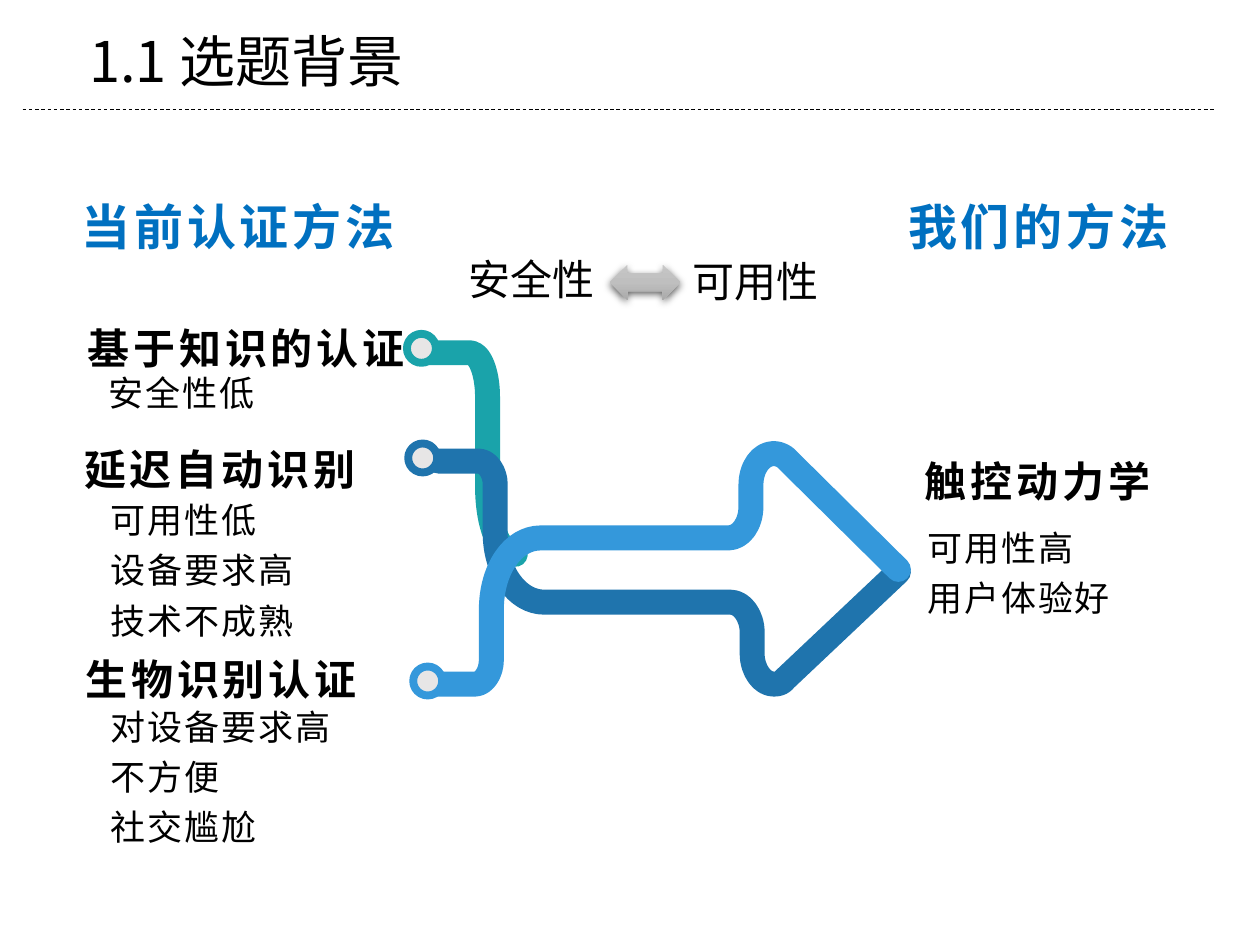
from dataclasses import dataclass

from lxml import etree
from pptx import Presentation
from pptx.dml.color import RGBColor
from pptx.enum.dml import MSO_LINE_DASH_STYLE as Dash
from pptx.enum.shapes import MSO_CONNECTOR as Connector, MSO_SHAPE as Preset
from pptx.enum.text import MSO_AUTO_SIZE as AutoSize, PP_ALIGN as Align
from pptx.oxml import parse_xml
from pptx.oxml.ns import nsdecls, qn
from pptx.util import Inches, Pt

FONT = "Noto Sans CJK SC"
BLACK, BLUE, GREY = "000000", "0070C0", "E7E6E6"
TEAL, NAVY, SKY = "1AA3AA", "1F74AD", "3498DB"


@dataclass
class Label:
    """A text block; box is left, top, width, height in inches."""
    box: tuple
    lines: tuple
    size: float
    color: str = BLACK
    bold: bool = False
    spacing: float = 0
    line_spacing: float = 1.0
    top: float = 0.05
    bottom: float = 0.05
    font: str = FONT
    align: Align = Align.LEFT
    wrap: bool = True
    grow: bool = False


@dataclass
class Ribbon:
    """A thick line; steps are (x, y) for straight parts, six numbers for curves."""
    color: str
    start: tuple
    steps: tuple


@dataclass
class Node:
    left: float
    top: float
    color: str


def heading(box: tuple, text: str, size: float = 24, color: str = BLACK,
            align: Align = Align.LEFT) -> Label:
    return Label(box, (text,), size, color, True, 2.2, 1.2, bottom=0, align=align)


def details(box: tuple, *lines: str) -> Label:
    return Label(box, lines, 20, spacing=1.1, line_spacing=1.2, top=0)


LABELS = (
    heading((7.24, 3.49, 2.22, 0.54), "触控动力学"),
    details((7.26, 4.11, 2.67, 2.03), "可用性高", "用户体验好"),
    heading((0.52, 2.43, 2.79, 0.44), "基于知识的认证", align=Align.RIGHT),
    heading((0.57, 3.39, 2.47, 0.45), "延迟自动识别"),
    heading((0.58, 5.06, 2.67, 0.45), "生物识别认证"),
    details((0.76, 2.88, 1.72, 0.38), "安全性低"),
    details((0.78, 3.89, 2.14, 1.24), "可用性低", "设备要求高", "技术不成熟"),
    details((0.78, 5.53, 2.14, 1.25), "对设备要求高", "不方便", "社交尴尬"),
    heading((0.47, 1.42, 2.76, 0.74), "当前认证方法", 28, BLUE, Align.RIGHT),
    heading((7.11, 1.42, 2.33, 0.74), "我们的方法", 28, BLUE),
    Label((3.62, 1.96, 1.46, 0.5), ("安全性",), 24, font="Arial", wrap=False, grow=True),
    Label((5.4, 1.98, 1.28, 0.5), ("可用性",), 24, font="Arial", grow=True),
    Label((0.61, 0.16, 2.91, 0.64), ("1.1 选题背景",), 32, grow=True),
)

RIBBONS = (
    Ribbon(TEAL, (3.33, 2.8), (
        (3.73, 2.8), (3.81, 2.8, 3.87, 2.96, 3.87, 3.15),
        (3.87, 3.86), (3.87, 4.16, 3.96, 4.4, 4.09, 4.4))),
    Ribbon(NAVY, (3.48, 3.66), (
        (3.8, 3.66), (3.87, 3.66, 3.93, 3.75, 3.93, 3.84),
        (3.93, 4.23), (3.93, 4.53, 4.1, 4.78, 4.32, 4.78),
        (5.8, 4.78), (5.89, 4.78, 5.97, 4.89, 5.97, 5.02),
        (5.97, 5.19), (5.97, 5.32, 6.05, 5.43, 6.14, 5.43),
        (6.18, 5.43, 6.21, 5.42, 6.23, 5.39), (7.13, 4.54))),
    Ribbon(SKY, (3.45, 5.43), (
        (3.77, 5.43), (3.84, 5.43, 3.9, 5.34, 3.9, 5.24),
        (3.9, 4.84), (3.9, 4.52, 4.07, 4.27, 4.29, 4.27),
        (5.78, 4.27), (5.88, 4.27, 5.96, 4.16, 5.96, 4.02),
        (5.96, 3.85), (5.96, 3.71, 6.04, 3.6, 6.14, 3.6),
        (6.17, 3.6, 6.2, 3.61, 6.23, 3.63), (7.13, 4.52))),
)

NODES = (Node(3.23, 2.65, TEAL), Node(3.24, 3.52, NAVY), Node(3.28, 5.29, SKY))


def rgb(value: str) -> RGBColor:
    return RGBColor.from_string(value)


def add_label(slide, label: Label) -> None:
    frame = slide.shapes.add_textbox(*map(Inches, label.box)).text_frame
    frame.word_wrap = label.wrap
    frame.auto_size = AutoSize.SHAPE_TO_FIT_TEXT if label.grow else AutoSize.NONE
    frame.margin_top, frame.margin_bottom = Inches(label.top), Inches(label.bottom)
    frame.text = "\n".join(label.lines)
    for paragraph in frame.paragraphs:
        paragraph.alignment = label.align
        paragraph.line_spacing = label.line_spacing
        font = paragraph.font
        font.name, font.size, font.bold = label.font, Pt(label.size), label.bold
        font.color.rgb = rgb(label.color)
        # East Asian typeface and letter spacing
        properties = paragraph._p.pPr.find(qn("a:defRPr"))
        etree.SubElement(properties, qn("a:ea"), typeface=label.font)
        if label.spacing:
            properties.set("spc", str(round(label.spacing * 100)))


def add_ribbon(slide, ribbon: Ribbon) -> None:
    points = [(Inches(x), Inches(y)) for step in ribbon.steps
              for x, y in zip(step[::2], step[1::2])]
    builder = slide.shapes.build_freeform(*map(Inches, ribbon.start))
    builder.add_line_segments(points, close=False)
    shape = builder.convert_to_shape()
    shape.shadow.inherit = False
    shape.fill.background()
    shape.line.color.rgb = rgb(ribbon.color)
    shape.line.width = Pt(14.25)
    line = shape.line._get_or_add_ln()
    line.set("cap", "rnd")
    etree.SubElement(line, qn("a:round"))
    # Join each curve's three points into one Bezier segment
    segments = iter(list(shape._element.iter(qn("a:lnTo"))))
    for step in ribbon.steps:
        first = next(segments)
        if len(step) == 6:
            first.tag  # segment stays in place until its curve is ready
            curve = etree.Element(qn("a:cubicBezTo"))
            first.addprevious(curve)
            for segment in (first, next(segments), next(segments)):
                curve.append(segment[0])
                segment.getparent().remove(segment)


def add_node(slide, node: Node) -> None:
    shape = slide.shapes.add_shape(Preset.OVAL, Inches(node.left), Inches(node.top),
                                   Inches(0.23), Inches(0.23))
    shape.shadow.inherit = False
    shape.fill.solid()
    shape.fill.fore_color.rgb = rgb(GREY)
    shape.line.color.rgb = rgb(node.color)
    shape.line.width = Pt(4.5)


def add_balance_arrow(slide) -> None:
    shape = slide.shapes.add_shape(Preset.LEFT_RIGHT_ARROW, Inches(4.84), Inches(2.1),
                                   Inches(0.56), Inches(0.28))
    shape.line.fill.background()
    shape.fill.gradient()
    shape.fill.gradient_angle = 270
    stops = shape._element.spPr.find(".//" + qn("a:gsLst"))
    stops[:] = [parse_xml(f'<a:gs {nsdecls("a")} pos="{position}"><a:srgbClr val="{color}"/></a:gs>')
                for position, color in ((0, "C7C7C7"), (50000, "BFBFBF"), (100000, "AAAAAA"))]
    shape.shadow.inherit = False
    shape._element.spPr.find(qn("a:effectLst")).append(parse_xml(
        f'<a:outerShdw {nsdecls("a")} blurRad="{Pt(4.5)}" dist="{Pt(1.5)}" dir="5400000">'
        f'<a:srgbClr val="{BLACK}"><a:alpha val="63000"/></a:srgbClr></a:outerShdw>'))


def add_title_rule(slide) -> None:
    rule = slide.shapes.add_connector(Connector.STRAIGHT, Inches(0.18), Inches(0.87),
                                      Inches(9.64), Inches(0.87))
    rule.line.color.rgb = rgb(BLACK)
    rule.line.width = Pt(0.5)
    rule.line.dash_style = Dash.DASH
    etree.SubElement(rule._element.spPr, qn("a:effectLst"))


def main() -> None:
    presentation = Presentation()
    presentation.slide_width, presentation.slide_height = Inches(10), Inches(7.5)
    slide = presentation.slides.add_slide(presentation.slide_layouts[6])
    # Merging ribbons with their starting nodes
    for ribbon in RIBBONS:
        add_ribbon(slide, ribbon)
    for node in NODES:
        add_node(slide, node)
    # Title, headings and details
    for label in LABELS:
        add_label(slide, label)
    add_balance_arrow(slide)
    add_title_rule(slide)
    presentation.save("out.pptx")


if __name__ == "__main__":
    main()
